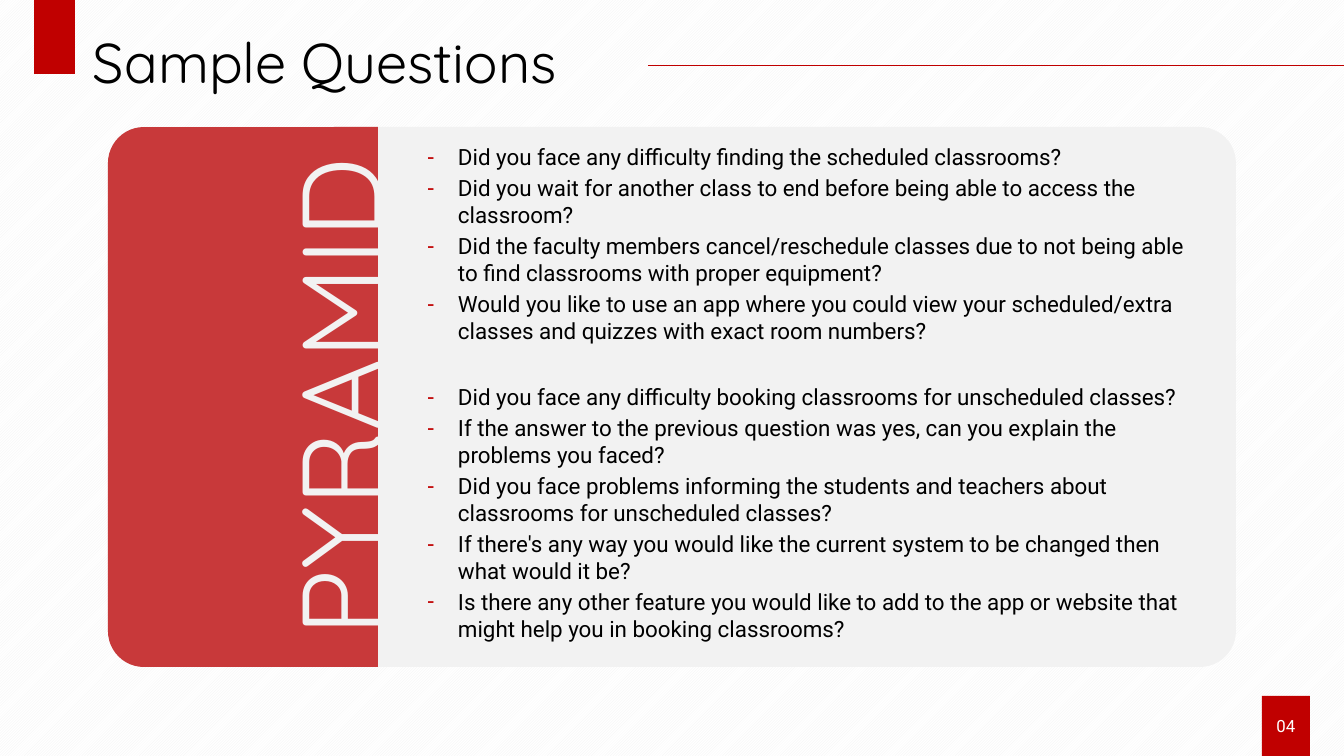
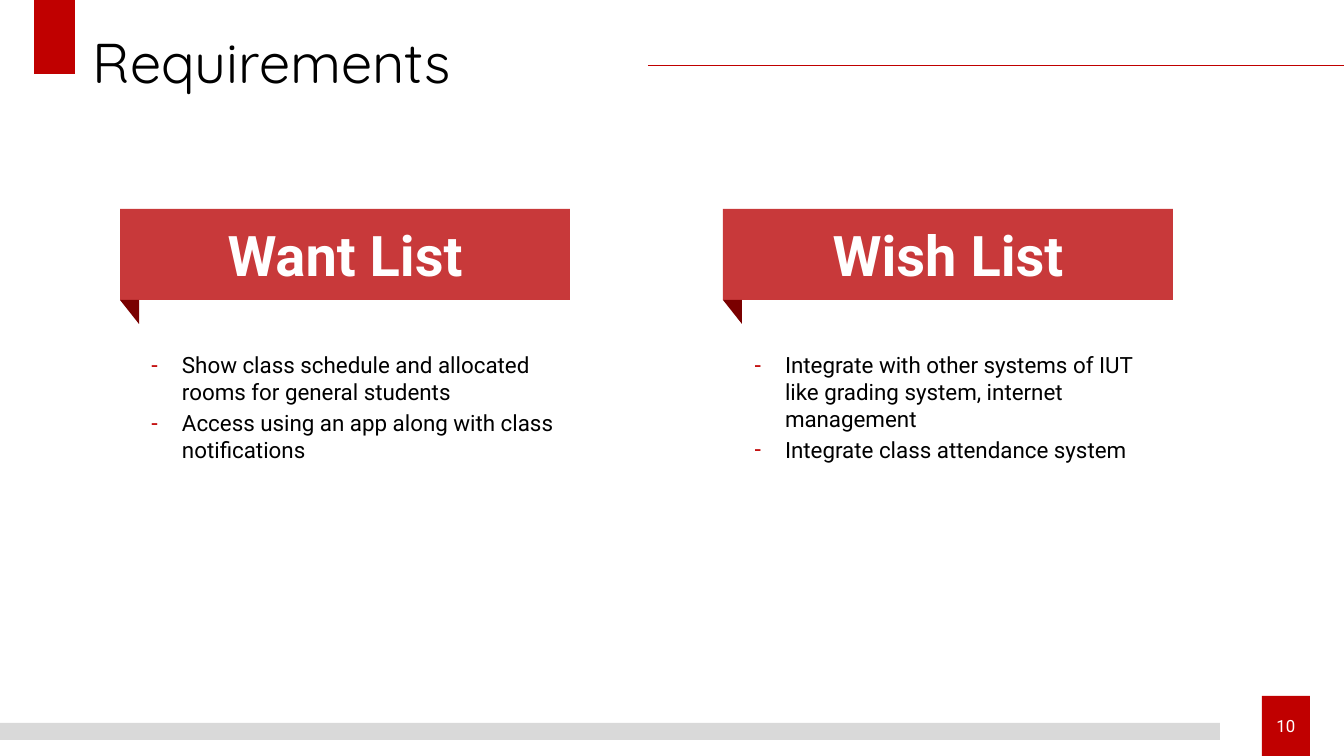
from dataclasses import dataclass

from lxml.etree import SubElement
from pptx import Presentation
from pptx.dml.color import RGBColor
from pptx.enum.dml import MSO_PATTERN
from pptx.enum.shapes import MSO_CONNECTOR, MSO_SHAPE
from pptx.enum.text import MSO_ANCHOR, MSO_AUTO_SIZE, PP_ALIGN
from pptx.oxml.ns import qn
from pptx.util import Pt

SLIDE_WIDTH, SLIDE_HEIGHT = 1344, 756
TWO_CONTENT = 3


@dataclass(frozen=True)
class Theme:
    red: str = "C00000"
    soft_red: str = "C8393A"
    dark_red: str = "7A0000"
    black: str = "000000"
    white: str = "FFFFFF"
    pale: str = "F2F2F2"
    grey: str = "D9D9D9"
    display_font: str = "Quicksand"
    text_font: str = "Roboto"
    title_size: int = 40
    banner_size: int = 40
    upright_size: int = 80
    list_size: int = 16
    number_size: int = 12


def px(length):
    """Turn pixels into EMU, at 100.8 pixels to the inch."""
    return round(length * 914400 / 100.8)


def rgb(colour):
    return RGBColor.from_string(colour)


def write(para, text, *, font, size, colour, bold=False,
          align=PP_ALIGN.LEFT, line_spacing=1.0, space_before=0):
    para.alignment = align
    para.line_spacing = line_spacing
    para.space_before = Pt(space_before)
    span = para.add_run()
    span.text = text
    span.font.name = font
    span.font.size = Pt(size)
    span.font.bold = bold
    span.font.color.rgb = rgb(colour)


def add_dash(para, colour, indent):
    properties = para._p.get_or_add_pPr()
    properties.set("marL", str(px(indent)))
    properties.set("indent", str(-px(indent)))
    bullet_colour = SubElement(properties, qn("a:buClr"))
    SubElement(bullet_colour, qn("a:srgbClr")).set("val", colour)
    SubElement(properties, qn("a:buChar")).set("char", "-")


def prepare_frame(shape, anchor=MSO_ANCHOR.TOP, auto_size=MSO_AUTO_SIZE.NONE):
    """Give a shape's text frame wrapping, no insets and one anchor."""
    frame = shape.text_frame
    frame.word_wrap = True
    frame.auto_size = auto_size
    frame.vertical_anchor = anchor
    frame.margin_left = frame.margin_right = 0
    frame.margin_top = frame.margin_bottom = 0
    return frame


class Page:
    def __init__(self, deck, theme, title, number):
        self.theme = theme
        self.slide = deck.slides.add_slide(deck.slide_layouts[TWO_CONTENT])
        self.shapes = self.slide.shapes
        self.bodies = [holder for holder in self.slide.placeholders
                       if holder.placeholder_format.idx > 0]
        self.title(title)
        self.block(34, 0, 41, 74, theme.red)
        self.rule(648, 65, SLIDE_WIDTH, 65)
        badge = self.block(1262, 696, 48, 60, theme.red)
        self.label(badge, number, font=theme.text_font,
                   size=theme.number_size, colour=theme.white)

    def place(self, shape, left, top, width, height):
        shape.left, shape.top = px(left), px(top)
        shape.width, shape.height = px(width), px(height)

    def title(self, text):
        holder = self.shapes.title
        self.place(holder, 93, 35, 1159, 62)
        frame = prepare_frame(holder, auto_size=MSO_AUTO_SIZE.SHAPE_TO_FIT_TEXT)
        write(frame.paragraphs[0], text, font=self.theme.display_font,
              size=self.theme.title_size, colour=self.theme.black,
              line_spacing=0.9)

    def block(self, left, top, width, height, fill,
              kind=MSO_SHAPE.RECTANGLE, adjustments=(), rotation=0):
        shape = self.shapes.add_shape(
            kind, px(left), px(top), px(width), px(height))
        for index, value in enumerate(adjustments):
            shape.adjustments[index] = value
        shape.rotation = rotation
        shape.shadow.inherit = False
        shape.fill.solid()
        shape.fill.fore_color.rgb = rgb(fill)
        shape.line.fill.background()
        return shape

    def label(self, shape, text, **style):
        """Centre one line of text in a shape."""
        frame = prepare_frame(shape, MSO_ANCHOR.MIDDLE)
        write(frame.paragraphs[0], text, align=PP_ALIGN.CENTER, **style)

    def rule(self, x1, y1, x2, y2):
        line = self.shapes.add_connector(
            MSO_CONNECTOR.STRAIGHT, px(x1), px(y1), px(x2), px(y2))
        line.line.color.rgb = rgb(self.theme.red)
        line.line.width = Pt(0.5)
        SubElement(line.element.spPr, qn("a:effectLst"))

    def upright_text(self, left, top, width, height, text):
        box = self.shapes.add_textbox(
            px(left), px(top), px(width), px(height))
        box.rotation = 270
        self.label(box, text, font=self.theme.display_font,
                   size=self.theme.upright_size, colour=self.theme.pale,
                   line_spacing=0.9)

    def dash_list(self, left, top, width, height, items):
        """Fill the next body placeholder and bring it to the front."""
        holder = self.bodies.pop(0)
        self.place(holder, left, top, width, height)
        holder.element.getparent().append(holder.element)
        frame = prepare_frame(holder)
        for index, item in enumerate(items):
            para = frame.add_paragraph() if index else frame.paragraphs[0]
            add_dash(para, self.theme.red, 31)
            write(para, item, font=self.theme.text_font,
                  size=self.theme.list_size, colour=self.theme.black,
                  space_before=3 if index else 0)

    def ribbon_card(self, left, heading, items):
        top, height = 209, 91
        banner = self.block(left, top, 450, height, self.theme.soft_red)
        self.label(banner, heading, font=self.theme.text_font,
                   size=self.theme.banner_size, colour=self.theme.white,
                   bold=True)
        self.block(left, top + height, 19, 24, self.theme.dark_red,
                   kind=MSO_SHAPE.RIGHT_TRIANGLE, rotation=180)
        self.dash_list(left + 31, 351, 408, 113, items)


def build_questions(deck, theme):
    page = Page(deck, theme, "Sample Questions", "04")
    background = page.slide.background.fill
    background.patterned()
    background.pattern = MSO_PATTERN.DARK_UPWARD_DIAGONAL
    background.fore_color.rgb = rgb(theme.pale)
    background.back_color.rgb = rgb(theme.white)

    left, top, width, height = 108, 127, 1128, 540
    band, radius = 270, 36
    page.block(left, top, width, height, theme.pale,
               kind=MSO_SHAPE.ROUNDED_RECTANGLE,
               adjustments=[radius / height])
    turn = (height - band) // 2
    page.block(left - turn, top + turn, height, band, theme.soft_red,
               kind=MSO_SHAPE.ROUND_2_SAME_RECTANGLE,
               adjustments=[radius / band, 0], rotation=270)
    page.upright_text(75, 336, height, 122, "PYRAMID")
    page.dash_list(427, 143, 761, 210, [
        "Did you face any difficulty finding the scheduled classrooms?",
        "Did you wait for another class to end before being able to access "
        "the classroom?",
        "Did the faculty members cancel/reschedule classes due to not being "
        "able to find classrooms with proper equipment?",
        "Would you like to use an app where you could view your "
        "scheduled/extra classes and quizzes with exact room numbers?",
    ])
    page.dash_list(427, 383, 761, 261, [
        "Did you face any difficulty booking classrooms for unscheduled "
        "classes?",
        "If the answer to the previous question was yes, can you explain the "
        "problems you faced?",
        "Did you face problems informing the students and teachers about "
        "classrooms for unscheduled classes?",
        "If there's any way you would like the current system to be changed "
        "then what would it be?",
        "Is there any other feature you would like to add to the app or "
        "website that might help you in booking classrooms?",
    ])


def build_requirements(deck, theme):
    page = Page(deck, theme, "Requirements", "10")
    page.block(0, 723, 1220, 17, theme.grey)
    cards = [
        ("Want List", [
            "Show class schedule and allocated rooms for general students",
            "Access using an app along with class notifications",
        ]),
        ("Wish List", [
            "Integrate with other systems of IUT like grading system, "
            "internet management",
            "Integrate class attendance system",
        ]),
    ]
    for column, (heading, items) in enumerate(cards):
        page.ribbon_card(120 + 603 * column, heading, items)


def main():
    deck = Presentation()
    deck.slide_width, deck.slide_height = px(SLIDE_WIDTH), px(SLIDE_HEIGHT)
    theme = Theme()
    build_questions(deck, theme)
    build_requirements(deck, theme)
    deck.save("out.pptx")


if __name__ == "__main__":
    main()
